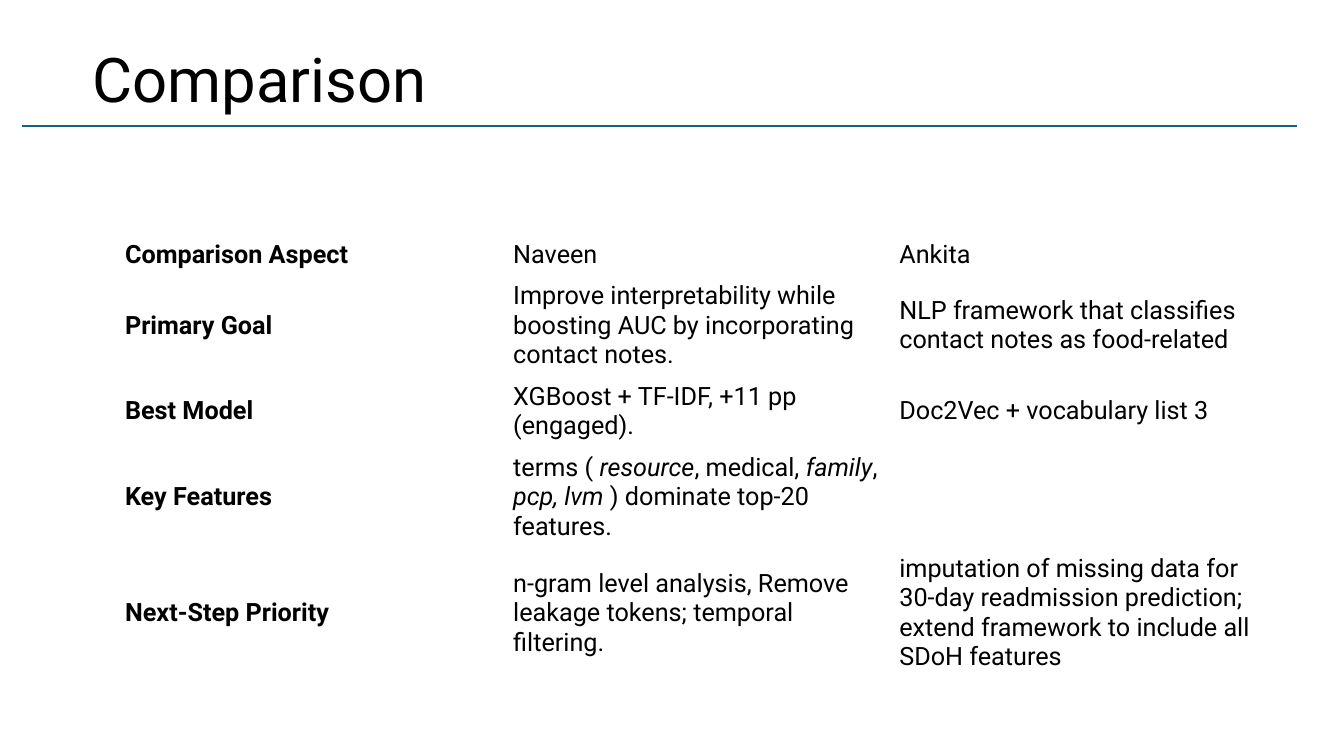
from pptx import Presentation
from pptx.dml.color import RGBColor
from pptx.enum.shapes import MSO_CONNECTOR
from pptx.enum.text import MSO_ANCHOR
from pptx.oxml.ns import qn
from pptx.util import Inches, Pt

THEME = {
    "font": "Roboto",
    "ink": RGBColor.from_string("000000"),
    "paper": RGBColor.from_string("FFFFFF"),
    "rule": RGBColor.from_string("156082"),
    "title": Pt(44),
    "body": Pt(18),
    "line": Pt(1.5),
}
ROWS = [
    ("Comparison Aspect", "Naveen", "Ankita"),
    ("Primary Goal",
     "Improve interpretability while boosting AUC by incorporating contact notes.",
     "NLP framework that classifies contact notes as food-related"),
    ("Best Model", "XGBoost + TF-IDF, +11 pp (engaged).",
     "Doc2Vec + vocabulary list 3"),
    ("Key Features",
     "terms ( *resource*, medical, *family*, *pcp, lvm* ) dominate top-20 features.",
     ""),
    ("Next-Step Priority",
     "n-gram level analysis, Remove leakage tokens; temporal filtering.",
     "imputation of missing data for 30-day readmission prediction; "
     "extend framework to include all SDoH features"),
]
WIDTHS = [3.85, 3.83, 3.83]


def style(font, size, bold=False, italic=False):
    font.name = THEME["font"]
    font.size = size
    font.bold = bold
    font.italic = italic
    font.color.rgb = THEME["ink"]


deck = Presentation()
deck.slide_width = Inches(13.33)
deck.slide_height = Inches(7.5)
slide = deck.slides.add_slide(deck.slide_layouts[6])

title = slide.shapes.add_textbox(Inches(0.82), Inches(0.2), Inches(11.25), Inches(1))
frame = title.text_frame
frame.word_wrap = True
frame.vertical_anchor = MSO_ANCHOR.BOTTOM
frame.text = "Comparison"
frame.paragraphs[0].line_spacing = 0.9
style(frame.paragraphs[0].runs[0].font, THEME["title"])

rule = slide.shapes.add_connector(
    MSO_CONNECTOR.STRAIGHT, Inches(0.22), Inches(1.25), Inches(12.86), Inches(1.25))
rule.line.color.rgb = THEME["rule"]
rule.line.width = THEME["line"]
props = rule._element.spPr
props.append(props.makeelement(qn("a:effectLst"), {}))

holder = slide.shapes.add_table(
    len(ROWS), len(WIDTHS), Inches(1.14), Inches(2.33),
    Inches(sum(WIDTHS)), Inches(4.4))
table = holder.table
table.first_row = False
table.horz_banding = False
for column, width in zip(table.columns, WIDTHS):
    column.width = Inches(width)

for row, texts in zip(table.rows, ROWS):
    row.height = Inches(0)
    for col, (cell, text) in enumerate(zip(row.cells, texts)):
        cell.fill.solid()
        cell.fill.fore_color.rgb = THEME["paper"]
        cell.vertical_anchor = MSO_ANCHOR.MIDDLE
        para = cell.text_frame.paragraphs[0]
        for part, words in enumerate(text.split("*")):
            if words:
                run = para.add_run()
                run.text = words
                style(run.font, THEME["body"], col == 0, part % 2 == 1)
holder.height = Inches(4.4)

deck.save("out.pptx")
